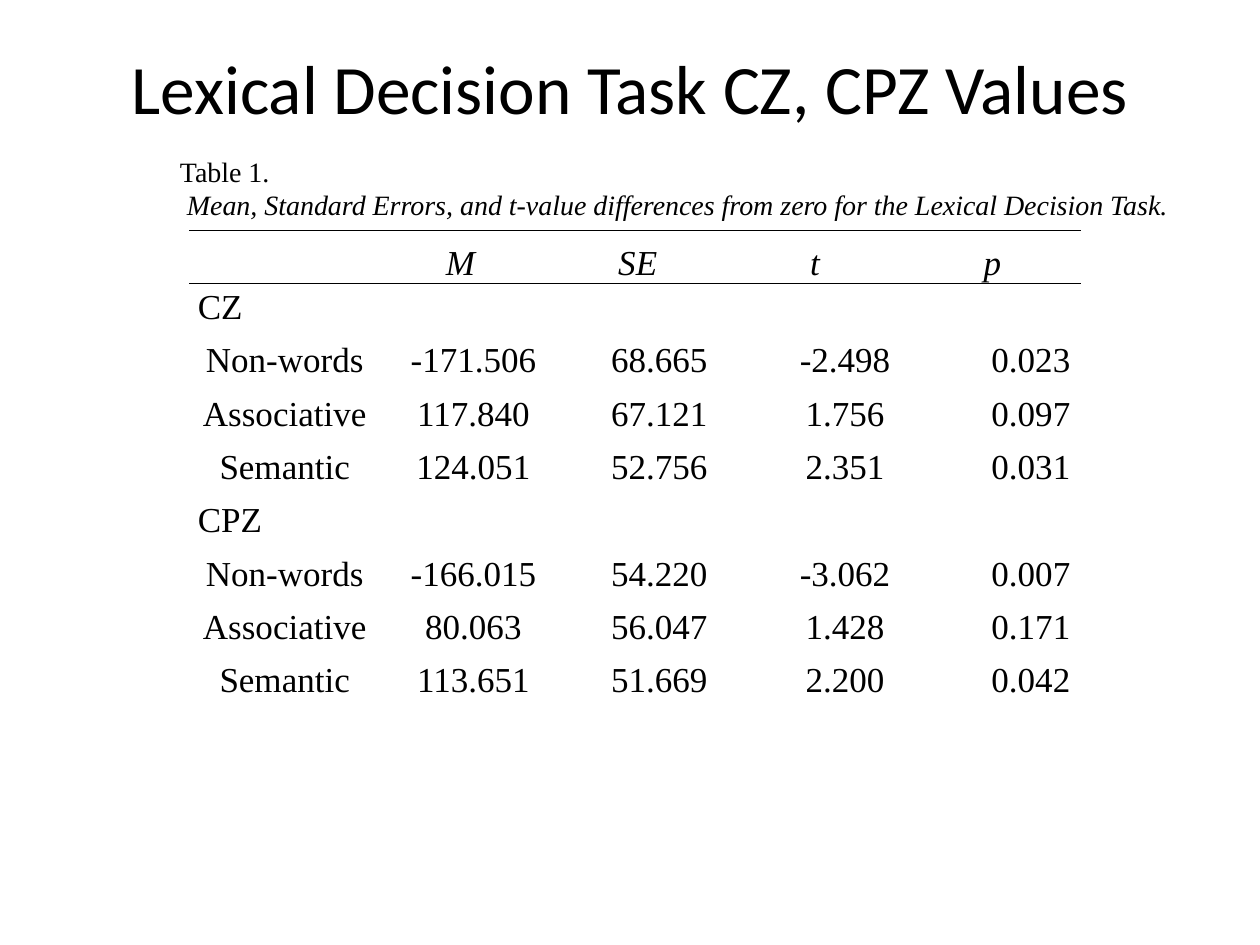
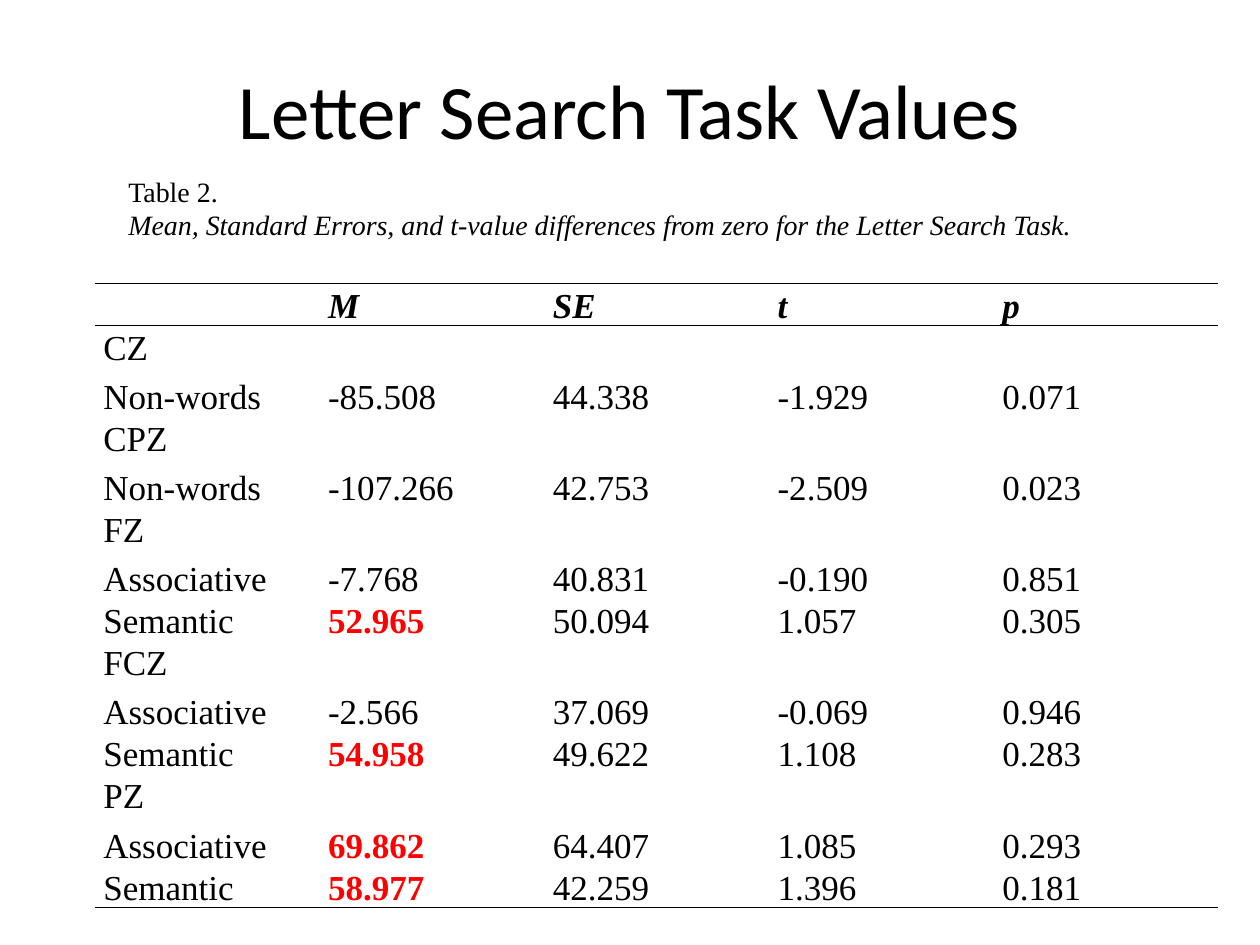
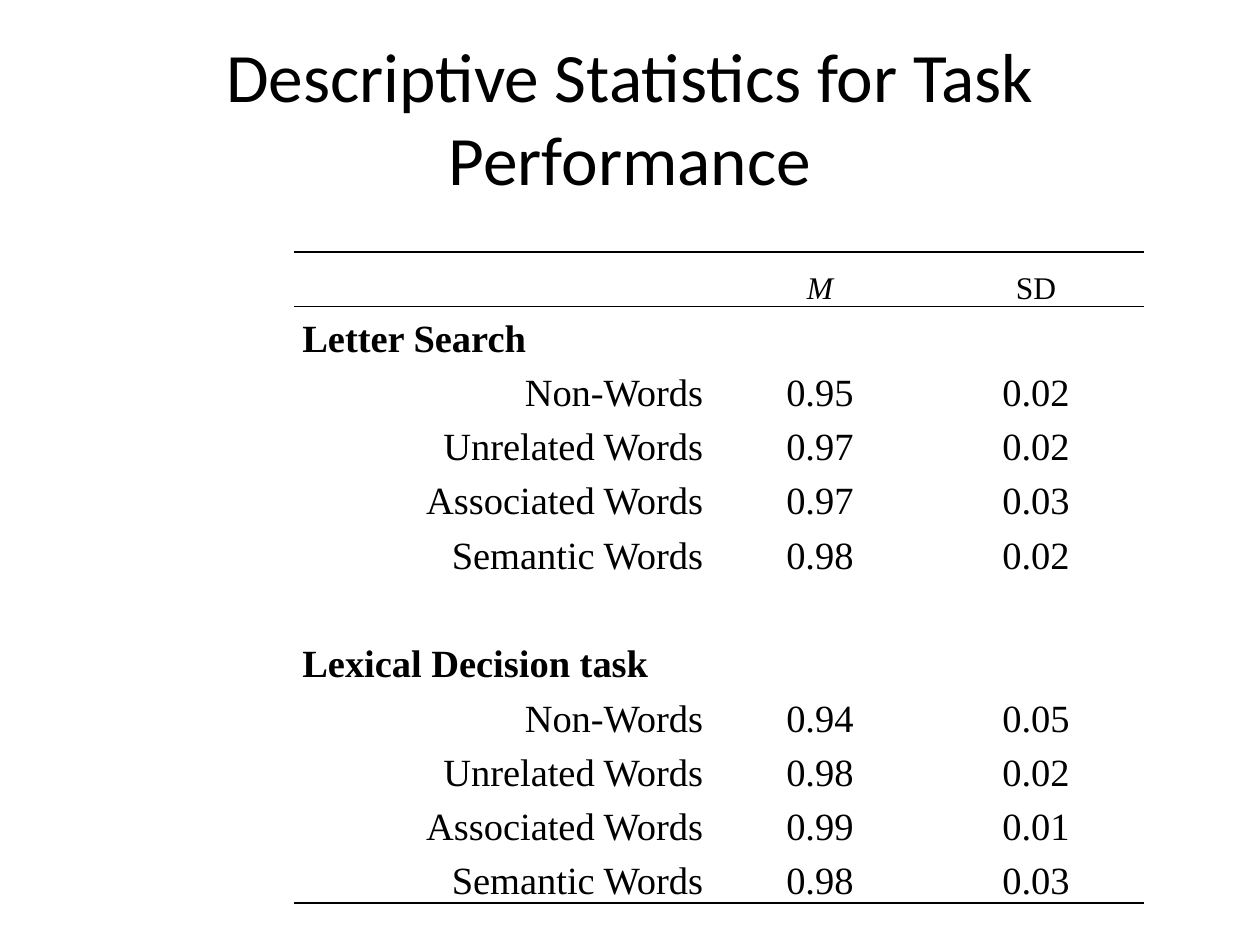
from dataclasses import dataclass

from lxml.etree import SubElement
from pptx import Presentation
from pptx.dml.color import RGBColor
from pptx.enum.text import MSO_ANCHOR, MSO_AUTO_SIZE, PP_ALIGN
from pptx.oxml import parse_xml
from pptx.oxml.ns import nsdecls, qn
from pptx.util import Inches, Pt


@dataclass(frozen=True)
class Theme:
    ink: str = "000000"
    highlight: str = "FF0000"
    title_font: str = "Calibri"
    body_font: str = "Times New Roman"
    title_size: float = 39.6
    title_large: float = 44
    caption_size: float = 16
    table_size: float = 20
    stats_size: float = 22
    stats_header: float = 18
    rule_width: float = 1
    table_style: str = "{2D5ABB26-0587-4C30-8999-92F81FD0307C}"


THEME = Theme()


@dataclass(frozen=True)
class Look:
    size: float = THEME.table_size
    align: PP_ALIGN = PP_ALIGN.LEFT
    bold: bool = False
    italic: bool = False
    color: str = THEME.ink


MEASURES = ["M", "SE", "t", "p"]

LEXICAL_ROWS = [
    ["CZ"],
    ["Non-words", "-171.506", "68.665", "-2.498", "0.023"],
    ["Associative", "117.840", "67.121", "1.756", "0.097"],
    ["Semantic", "124.051", "52.756", "2.351", "0.031"],
    ["CPZ"],
    ["Non-words", "-166.015", "54.220", "-3.062", "0.007"],
    ["Associative", "80.063", "56.047", "1.428", "0.171"],
    ["Semantic", "113.651", "51.669", "2.200", "0.042"],
]

LETTER_ROWS = [
    ["", *MEASURES],
    ["CZ"],
    ["Non-words", "-85.508", "44.338", "-1.929", "0.071"],
    ["CPZ"],
    ["Non-words", "-107.266", "42.753", "-2.509", "0.023"],
    ["FZ"],
    ["Associative", "-7.768", "40.831", "-0.190", "0.851"],
    ["Semantic", "52.965", "50.094", "1.057", "0.305"],
    ["FCZ"],
    ["Associative", "-2.566", "37.069", "-0.069", "0.946"],
    ["Semantic", "54.958", "49.622", "1.108", "0.283"],
    ["PZ"],
    ["Associative", "69.862", "64.407", "1.085", "0.293"],
    ["Semantic", "58.977", "42.259", "1.396", "0.181"],
]

STATS_ROWS = [
    ["", "M", "SD"],
    ["Letter Search"],
    ["Non-Words", "0.95", "0.02"],
    ["Unrelated Words", "0.97", "0.02"],
    ["Associated Words", "0.97", "0.03"],
    ["Semantic Words", "0.98", "0.02"],
    ["Lexical Decision task"],
    ["Non-Words", "0.94", "0.05"],
    ["Unrelated Words", "0.98", "0.02"],
    ["Associated Words", "0.99", "0.01"],
    ["Semantic Words", "0.98", "0.03"],
]


def add_run(p, text, size, font=THEME.body_font, bold=False, italic=False, color=THEME.ink):
    r = p.add_run()
    r.text = text
    r.font.name = font
    r.font.size = Pt(size)
    r.font.bold = bold
    r.font.italic = italic
    r.font.color.rgb = RGBColor.from_string(color)


def add_title_slide(prs, title, height, size=THEME.title_size):
    slide = prs.slides.add_slide(prs.slide_layouts[5])
    sp = slide.shapes.title
    sp.left, sp.top, sp.width, sp.height = map(Inches, (0.5, 0.3, 9, height))
    tf = sp.text_frame
    tf.auto_size = MSO_AUTO_SIZE.NONE
    tf.vertical_anchor = MSO_ANCHOR.MIDDLE
    p = tf.paragraphs[0]
    p.alignment = PP_ALIGN.CENTER
    add_run(p, title, size, THEME.title_font)
    return slide


def add_caption(slide, box, number, *pieces):
    tf = slide.shapes.add_textbox(*map(Inches, box)).text_frame
    tf.word_wrap = False
    tf.auto_size = MSO_AUTO_SIZE.SHAPE_TO_FIT_TEXT
    tf.vertical_anchor = MSO_ANCHOR.MIDDLE
    add_run(tf.paragraphs[0], number, THEME.caption_size)
    p = tf.add_paragraph()
    for piece in pieces:
        add_run(p, piece, THEME.caption_size, italic=bool(piece.strip()))


def rule_cell(cell, sides):
    tcPr = cell._tc.get_or_add_tcPr()
    for i, side in enumerate(sides):
        tcPr.insert(i, parse_xml(
            f'<a:ln{side} {nsdecls("a")} w="{Pt(THEME.rule_width)}"><a:solidFill>'
            f'<a:srgbClr val="{THEME.ink}"/></a:solidFill></a:ln{side}>'))


def fill_cell(cell, text, look, spacing):
    cell.fill.background()
    cell.vertical_anchor = MSO_ANCHOR.BOTTOM
    cell.margin_left = cell.margin_right = Inches(0.07)
    cell.margin_top = cell.margin_bottom = 0
    p = cell.text_frame.paragraphs[0]
    p.alignment = look.align
    p.line_spacing = spacing
    if text:
        add_run(p, text, look.size, bold=look.bold, italic=look.italic, color=look.color)
    else:
        end = SubElement(p._p, qn("a:endParaRPr"), sz=str(int(look.size * 100)))
        SubElement(end, qn("a:latin"), typeface=THEME.body_font)


def add_ruled_table(slide, box, label_width, heights, rows, look_of, rules, spacing=1.15):
    left, top, width = box
    value_count = max(map(len, rows)) - 1
    cols = [label_width] + [(width - label_width) / value_count] * value_count
    frame = slide.shapes.add_table(
        len(rows), len(cols), *map(Inches, (left, top, width, sum(heights))))
    table = frame.table
    table.first_row = table.horz_banding = False
    table._tbl.tblPr.find(qn("a:tableStyleId")).text = THEME.table_style
    for column, col_width in zip(table.columns, cols):
        column.width = Inches(col_width)
    for i, (values, height) in enumerate(zip(rows, heights)):
        table.rows[i].height = Inches(height)
        for j in range(len(cols)):
            text = values[j] if j < len(values) else ""
            cell = table.cell(i, j)
            fill_cell(cell, text, look_of(i, j, values), spacing)
            rule_cell(cell, rules.get(i, ""))


def lexical_header_look(i, j, values):
    return Look(align=PP_ALIGN.CENTER, italic=True)


def lexical_look(i, j, values):
    return Look(align=PP_ALIGN.LEFT if len(values) == 1 else PP_ALIGN.CENTER)


def letter_look(i, j, values):
    if i == 0:
        return Look(bold=True, italic=True)
    if j == 1 and len(values) > 1 and float(values[j]) > 50:
        return Look(bold=True, color=THEME.highlight)
    return Look()


def stats_look(i, j, values):
    if i == 0:
        return Look(THEME.stats_header, PP_ALIGN.CENTER, italic=values[j] == "M")
    if len(values) == 1:
        return Look(THEME.stats_size, bold=True)
    return Look(THEME.stats_size, PP_ALIGN.CENTER if j else PP_ALIGN.RIGHT)


def build_lexical_slide(prs):
    slide = add_title_slide(prs, "Lexical Decision Task CZ, CPZ Values", 0.78)
    add_ruled_table(slide, (1.5, 1.83, 7.08), 1.45, [0.42], [["", *MEASURES]],
                    lexical_header_look, {0: "TB"})
    add_caption(slide, (1.33, 1.17, 8.16, 0.64), "Table 1.", " ",
                "Mean, Standard Errors, and t-value differences from zero "
                "for the Lexical Decision Task.")
    row_count = len(LEXICAL_ROWS)
    add_ruled_table(slide, (1.5, 2.17, 7.42), 1.52, [3.39 / row_count] * row_count,
                    LEXICAL_ROWS, lexical_look, {})


def build_letter_slide(prs):
    slide = add_title_slide(prs, "Letter Search Task Values", 1.12, THEME.title_large)
    add_caption(slide, (0.92, 1.33, 7.8, 0.64), "Table 2.",
                "Mean, Standard Errors, and t-value differences from zero "
                "for the Letter Search Task.")
    heights = [0.3] + [0.39 if len(above) == 1 else 0.3 for above in LETTER_ROWS[:-1]]
    add_ruled_table(slide, (0.75, 2.25, 8.92), 8.92 / 5, heights, LETTER_ROWS, letter_look,
                    {0: "TB", len(LETTER_ROWS) - 1: "B"}, spacing=1)


def build_stats_slide(prs):
    slide = add_title_slide(prs, "Descriptive Statistics for Task Performance", 1.25)
    unit = 5.17 / (len(STATS_ROWS) + 1)
    heights = [unit * 2 if i > 1 and len(values) == 1 else unit
               for i, values in enumerate(STATS_ROWS)]
    add_ruled_table(slide, (2.33, 2, 6.75), 3.32, heights, STATS_ROWS, stats_look,
                    {0: "TB", len(STATS_ROWS) - 1: "B"})


def main():
    prs = Presentation()
    prs.slide_width, prs.slide_height = Inches(10), Inches(7.5)
    build_lexical_slide(prs)
    build_letter_slide(prs)
    build_stats_slide(prs)
    prs.save("out.pptx")


if __name__ == "__main__":
    main()
